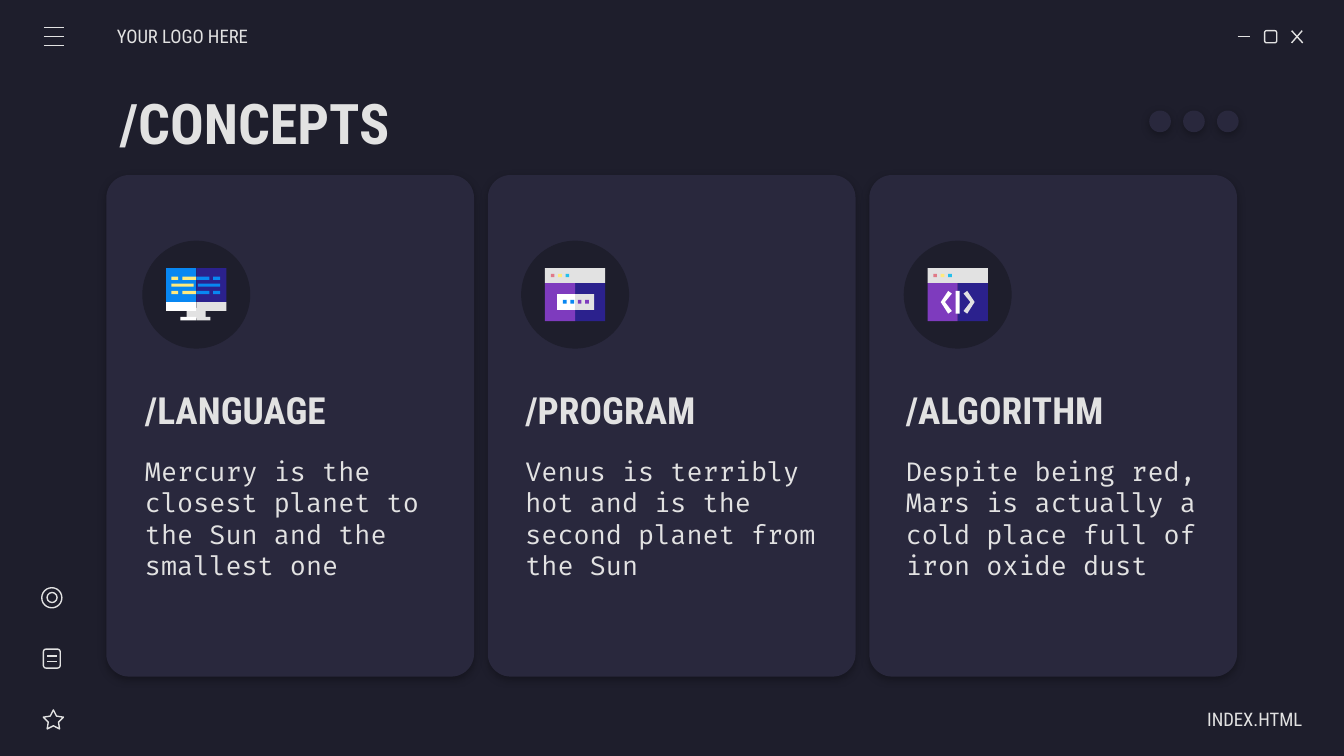
"""Build the dark /CONCEPTS slide with three icon cards."""
from lxml import etree
from pptx import Presentation
from pptx import util as u
from pptx.dml import color
from pptx.enum import shapes, text
from pptx.oxml import ns

COLORS = {
    "night": "1E1E2C", "panel": "29283D", "light": "E2E2E2", "white": "FFFFFF",
    "navy": "2B218D", "violet": "7E3BBE", "blue": "0887F2", "sky": "24BFEB",
    "yellow": "FFEA7D", "pink": "E07A88", "shadow": "000000",
}
KIND = shapes.MSO_SHAPE
HEAD_FONT, BODY_FONT = "Roboto Condensed", "Fira Code"
ICON_WIDTH, ICON_MIDDLE = 1.14, 0.57


def rgb(name):
    return color.RGBColor.from_string(COLORS[name])


def paint(shape, fill=None):
    """Fill a shape, or outline it when no fill is given."""
    shape.shadow.inherit = False
    if fill:
        shape.fill.solid()
        shape.fill.fore_color.rgb = rgb(fill)
        shape.line.fill.background()
    else:
        shape.fill.background()
        shape.line.color.rgb = rgb("light")
        shape.line.width = u.Pt(0.75)
    return shape


def add_block(canvas, kind, left, top, width, height, fill=None):
    shape = canvas.add_shape(kind, u.Cm(left), u.Cm(top), u.Cm(width), u.Cm(height))
    return paint(shape, fill)


def add_soft_shadow(shape):
    effects = shape._element.spPr.find(ns.qn("a:effectLst"))
    shadow = etree.SubElement(effects, ns.qn("a:outerShdw"), blurRad=str(u.Pt(4.5)),
                              dist=str(u.Pt(1.5)), dir="5400000", algn="bl", rotWithShape="0")
    tint = etree.SubElement(shadow, ns.qn("a:srgbClr"), val=COLORS["shadow"])
    etree.SubElement(tint, ns.qn("a:alpha"), val="30000")


def add_line(canvas, x1, y1, x2, y2):
    line = canvas.add_connector(shapes.MSO_CONNECTOR.STRAIGHT,
                                u.Cm(x1), u.Cm(y1), u.Cm(x2), u.Cm(y2))
    line.line.color.rgb = rgb("light")
    line.line.width = u.Pt(0.75)
    etree.SubElement(line._element.spPr, ns.qn("a:effectLst"))


def set_text(box, place, words, size, font=HEAD_FONT, bold=False, right=False,
             anchor=text.MSO_ANCHOR.MIDDLE, insets=(0.25, 0.25)):
    """Place a text shape and format its single paragraph."""
    box.left, box.top, box.width, box.height = map(u.Cm, place)
    frame = box.text_frame
    frame.text = words
    frame.word_wrap = True
    frame.auto_size = text.MSO_AUTO_SIZE.NONE
    frame.vertical_anchor = anchor
    frame.margin_left, frame.margin_right = map(u.Cm, insets)
    frame.margin_top = frame.margin_bottom = u.Cm(0.25)
    para = frame.paragraphs[0]
    para.alignment = text.PP_ALIGN.RIGHT if right else text.PP_ALIGN.LEFT
    for span in para.runs:
        span.font.name, span.font.size, span.font.bold = font, u.Pt(size), bold
        span.font.color.rgb = rgb("light")


def add_text(page, place, *args, **style):
    set_text(page.shapes.add_textbox(*map(u.Cm, place)), place, *args, **style)


def add_icon(page, left, top, blocks):
    """Group rectangles given as x, y, width, height and colour."""
    canvas = page.shapes.add_group_shape().shapes
    for x, y, width, height, fill in blocks:
        add_block(canvas, KIND.RECTANGLE, left + x, top + y, width, height, fill)
    return canvas


def add_window(page, left, top):
    blocks = [(ICON_MIDDLE, 0.28, ICON_MIDDLE, 0.72, "navy"),
              (0, 0.28, ICON_MIDDLE, 0.72, "violet"),
              (0, 0, ICON_WIDTH, 0.28, "light")]
    blocks += [(0.11 + 0.14 * i, 0.11, 0.07, 0.06, fill)
               for i, fill in enumerate(("pink", "yellow", "sky"))]
    return add_icon(page, left, top, blocks)


def add_language_icon(page, left, top):
    blocks = [(0.39, 0.75, 0.36, 0.2, "light"),
              (0.27, 0.92, 0.3, 0.07, "white"), (ICON_MIDDLE, 0.92, 0.27, 0.07, "light")]
    for x, screen, rim in ((0, "blue", "white"), (ICON_MIDDLE, "navy", "light")):
        blocks += [(x, 0, ICON_MIDDLE, 0.64, screen), (x, 0.64, ICON_MIDDLE, 0.17, rim)]
    for y in (0.16, 0.43):
        blocks += [(0.1, y, 0.13, 0.06, "yellow"), (0.31, y, 0.26, 0.06, "yellow"),
                   (0.57, y, 0.25, 0.06, "blue"), (0.89, y, 0.13, 0.06, "blue")]
    blocks += [(0.1, 0.29, 0.42, 0.06, "yellow"), (0.6, 0.29, 0.42, 0.06, "blue")]
    add_icon(page, left, top, blocks)


def add_program_icon(page, left, top):
    canvas = add_window(page, left, top)
    parts = [(0.23, 0.49, 0.34, 0.3, "white"), (ICON_MIDDLE, 0.49, 0.36, 0.3, "light")]
    parts += [(0.34 + 0.14 * i, 0.6, 0.07, 0.07, fill)
              for i, fill in enumerate(("blue", "blue", "violet", "violet"))]
    for x, y, width, height, fill in parts:
        add_block(canvas, KIND.RECTANGLE, left + x, top + y, width, height, fill)


def add_algorithm_icon(page, left, top):
    canvas = add_window(page, left, top)
    chevron = [(0.39, 0.43), (0.25, 0.64), (0.39, 0.86), (0.46, 0.81), (0.33, 0.64), (0.46, 0.48)]
    mirrored = [(ICON_WIDTH - x, y) for x, y in chevron]
    for outline, fill in ((chevron, "white"), (mirrored, "light")):
        points = [(u.Cm(left + x), u.Cm(top + y)) for x, y in outline]
        builder = canvas.build_freeform(*points[0])
        builder.add_line_segments(points[1:], close=True)
        paint(builder.convert_to_shape(), fill)
    add_block(canvas, KIND.RECTANGLE, left + 0.53, top + 0.43, 0.08, 0.43, "white")


def add_card(page, index, badge_left, heading, body, draw_icon):
    card = add_block(page.shapes, KIND.ROUNDED_RECTANGLE, 2.01 + 7.21 * index, 3.31, 6.95, 9.48, "panel")
    card.adjustments[0] = 0.062
    add_soft_shadow(card)
    add_block(page.shapes, KIND.OVAL, badge_left, 4.55, 2.04, 2.04, "night")
    draw_icon(page, badge_left + 0.45, 5.07)
    left = 2.49 + 7.19 * index
    add_text(page, (left, 7.09, 6.05, 1.3), heading, 20, bold=True)
    add_text(page, (left, 8.41, 6.05, 2.77), body, 14, font=BODY_FONT)


def add_window_controls(page):
    canvas = page.shapes.add_group_shape().shapes
    add_line(canvas, 23.39, 0.69, 23.62, 0.69)
    add_block(canvas, KIND.ROUNDED_RECTANGLE, 23.9, 0.58, 0.23, 0.23)
    add_line(canvas, 24.41, 0.58, 24.62, 0.81)
    add_line(canvas, 24.61, 0.58, 24.41, 0.81)


def add_menu(page):
    canvas = page.shapes.add_group_shape().shapes
    for i in range(3):
        y = 0.52 + 0.17 * i
        add_line(canvas, 0.83, y, 1.21, y)


def add_side_icons(page):
    canvas = page.shapes.add_group_shape().shapes
    add_block(canvas, KIND.OVAL, 0.79, 11.11, 0.38, 0.38)
    add_block(canvas, KIND.OVAL, 0.89, 11.2, 0.19, 0.19)
    add_block(canvas, KIND.ROUNDED_RECTANGLE, 0.82, 12.27, 0.32, 0.36)
    for y in (12.4, 12.5):
        add_line(canvas, 0.89, y, 1.08, y)
    star = add_block(canvas, KIND.STAR_5_POINT, 0.82, 13.42, 0.38, 0.36)
    star.adjustments[0] = 0.254


def add_dots(page):
    canvas = page.shapes.add_group_shape().shapes
    for i in range(3):
        add_soft_shadow(add_block(canvas, KIND.OVAL, 21.72 + 0.64 * i, 2.09, 0.41, 0.41, "panel"))


def main():
    deck = Presentation()
    deck.slide_width, deck.slide_height = u.Cm(25.4), u.Cm(14.29)
    page = deck.slides.add_slide(deck.slide_layouts[5])
    page.background.fill.solid()
    page.background.fill.fore_color.rgb = rgb("night")
    set_text(page.shapes.title, (2.01, 1.5, 12.62, 1.6), "/CONCEPTS", 30, bold=True)
    cards = [
        (2.69, "/LANGUAGE", "Mercury is the closest planet to the Sun and the smallest one", add_language_icon),
        (9.85, "/PROGRAM", "Venus is terribly hot and is the second planet from the Sun", add_program_icon),
        (17.08, "/ALGORITHM", "Despite being red, Mars is actually a cold place full of iron oxide dust",
         add_algorithm_icon),
    ]
    for index, card in enumerate(cards):
        add_card(page, index, *card)
    add_window_controls(page)
    add_menu(page)
    add_side_icons(page)
    add_dots(page)
    add_text(page, (2.21, 0.3, 2.97, 0.76), "YOUR LOGO HERE", 10, insets=(0, 0.25))
    add_text(page, (21.64, 13.21, 2.97, 0.76), "INDEX.HTML", 10, right=True, insets=(0.25, 0))
    deck.save("out.pptx")


if __name__ == "__main__":
    main()
